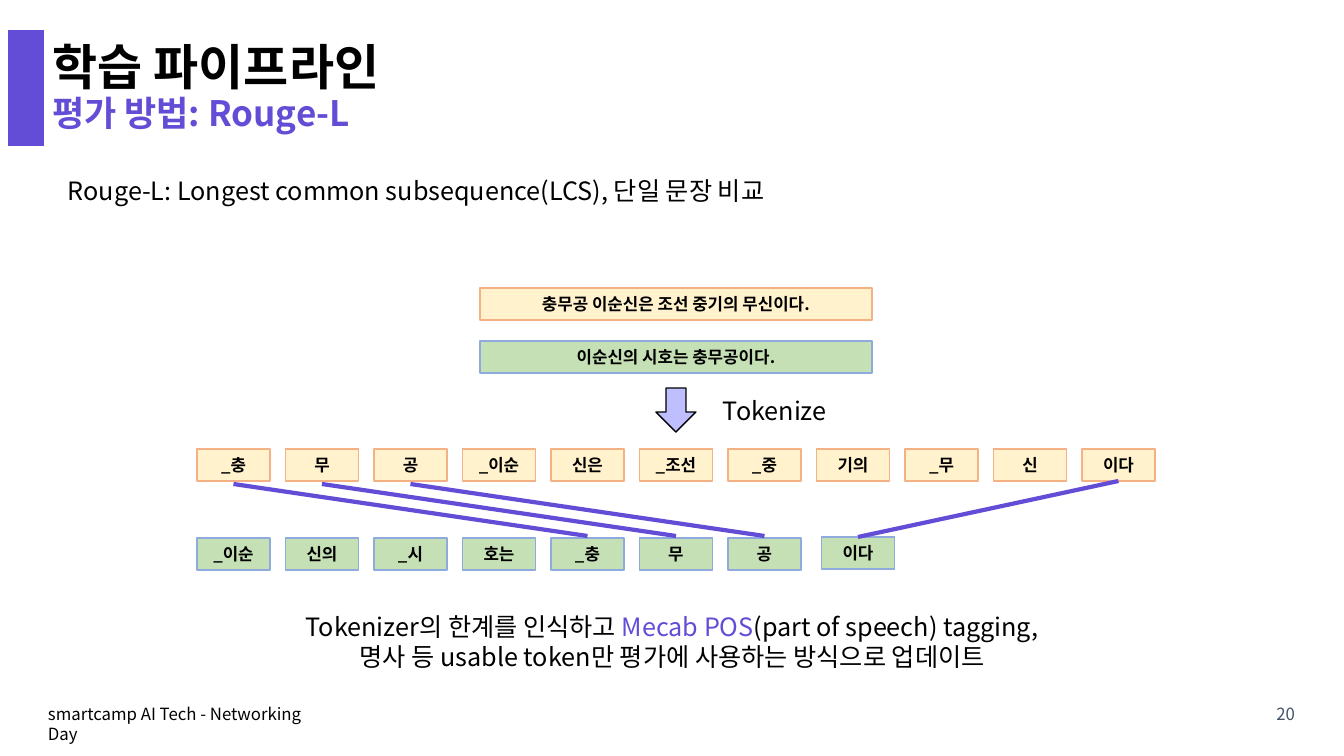
from pptx import Presentation
from pptx.dml.color import RGBColor
from pptx.enum.shapes import MSO_CONNECTOR, MSO_SHAPE
from pptx.enum.text import MSO_ANCHOR, PP_ALIGN
from pptx.oxml.ns import qn
from pptx.util import Emu, Pt
from lxml.etree import SubElement

SLIDE_W, SLIDE_H = 1344, 756
SCALE = 12192000 / SLIDE_W
FONT = "Noto Sans CJK KR"
COLORS = {
    "violet": "644DD6", "lilac": "BFBFFF", "black": "000000", "slate": "44546A",
    "cream": "FFF2CC", "orange": "F4B183", "green": "C5E0B4", "blue": "8FAADC",
}
REFERENCE = {"fill": "cream", "line": "orange"}
CANDIDATE = {"fill": "green", "line": "blue"}
REFERENCE_TOKENS = ["_충", "무", "공", "_이순", "신은", "_조선", "_중", "기의", "_무", "신", "이다"]
CANDIDATE_TOKENS = ["_이순", "신의", "_시", "호는", "_충", "무", "공", "이다"]
TOKEN_W, TOKEN_H = 73, 32
LAST_SHIFT = (5, -1)
MATCHES = [(0, 4, 3, 2), (1, 5, 3, 2), (2, 6, 3, 2), (10, 7, 0, 0)]


def px(value):
    return Emu(round(value * SCALE))


def rgb(name):
    return RGBColor.from_string(COLORS[name])


def write(holder, paragraphs, anchor=MSO_ANCHOR.TOP, **paragraph_format):
    frame = holder.text_frame
    frame.word_wrap = True
    frame.vertical_anchor = anchor
    for index, runs in enumerate(paragraphs):
        paragraph = frame.paragraphs[0] if index == 0 else frame.add_paragraph()
        for key, value in paragraph_format.items():
            setattr(paragraph, key, value)
        for words, size, color, bold in runs:
            run = paragraph.add_run()
            run.text = words
            for key, value in {"name": FONT, "size": Pt(size), "bold": bold}.items():
                setattr(run.font, key, value)
            run.font.color.rgb = rgb(color)
            SubElement(run.font._element, qn("a:ea")).set("typeface", FONT)


def add_text(slide, box, paragraphs, **text_format):
    holder = slide.shapes.add_textbox(*map(px, box))
    write(holder, paragraphs, **text_format)
    return holder


def add_block(slide, kind, box, fill=None, line=None):
    block = slide.shapes.add_shape(kind, *map(px, box))
    block.shadow.inherit = False
    if fill:
        block.fill.solid()
        block.fill.fore_color.rgb = rgb(fill)
    else:
        block.fill.background()
    if line:
        block.line.color.rgb = rgb(line)
        block.line.width = Pt(1)
    else:
        block.line.fill.background()
    return block


def add_label(slide, box, words, style):
    label = add_block(slide, MSO_SHAPE.RECTANGLE, box, **style)
    write(label, [[(words, 12, "black", True)]],
          anchor=MSO_ANCHOR.MIDDLE, alignment=PP_ALIGN.CENTER)


def add_heading(slide, left, top, width, height):
    add_block(slide, MSO_SHAPE.RECTANGLE, (left, top, 36, height), fill="violet")
    title = add_block(slide, MSO_SHAPE.ROUNDED_RECTANGLE,
                      (left + 29, top + 2, width - 29, height - 2))
    write(title, [[("학습 파이프라인", 35, "black", True)],
                  [("평가 방법: Rouge-L", 25, "violet", True)]],
          anchor=MSO_ANCHOR.MIDDLE, alignment=PP_ALIGN.LEFT, line_spacing=0.9)


def add_definition(slide, left, top, width, height):
    definition = add_text(slide, (left, top, width, height), [
        [("Rouge-L: Longest common subsequence(LCS), 단일 문장 비교", 18, "black", False)]])
    properties = definition.text_frame.paragraphs[0]._p.get_or_add_pPr()
    properties.set("marL", str(px(50)))
    properties.set("indent", "0")


def add_sentences(slide, left, top, width, height):
    sentences = [("충무공 이순신은 조선 중기의 무신이다.", REFERENCE),
                 ("이순신의 시호는 충무공이다.", CANDIDATE)]
    step = height - TOKEN_H
    for row, (sentence, style) in enumerate(sentences):
        add_label(slide, (left, top + row * step, width, TOKEN_H), sentence, style)


def add_tokenize_step(slide, left, top, width, height):
    add_block(slide, MSO_SHAPE.DOWN_ARROW, (left, top, 40, height),
              fill="lilac", line="black")
    add_text(slide, (left + 57, top + 2, width - 57, 40),
             [[("Tokenize", 18, "black", False)]])


def add_token_match(slide, left, top, width, height):
    step = (width - TOKEN_W) / (len(REFERENCE_TOKENS) - 1)
    lower = top + height - TOKEN_H
    upper_spots = [(left + i * step, top) for i in range(len(REFERENCE_TOKENS))]
    lower_spots = [(left + i * step, lower) for i in range(len(CANDIDATE_TOKENS))]
    x, y = lower_spots[-1]
    lower_spots[-1] = (x + LAST_SHIFT[0], y + LAST_SHIFT[1])
    for tokens, spots, style in [(REFERENCE_TOKENS, upper_spots, REFERENCE),
                                 (CANDIDATE_TOKENS, lower_spots, CANDIDATE)]:
        for token, spot in zip(tokens, spots):
            add_label(slide, (*spot, TOKEN_W, TOKEN_H), token, style)
    for source, target, source_gap, target_gap in MATCHES:
        x1, y1 = upper_spots[source]
        x2, y2 = lower_spots[target]
        ends = (x1 + TOKEN_W / 2, y1 + TOKEN_H + source_gap,
                x2 + TOKEN_W / 2, y2 - target_gap)
        match = slide.shapes.add_connector(MSO_CONNECTOR.STRAIGHT, *map(px, ends))
        match.line.color.rgb = rgb("violet")
        match.line.width = Pt(3)
        SubElement(match._element.spPr, qn("a:effectLst"))


def add_conclusion(slide, left, top, width, height):
    add_text(slide, (left, top, width, height), [
        [("Tokenizer의 한계를 인식하고 ", 18, "black", False),
         ("Mecab POS", 18, "violet", False),
         ("(part of speech) tagging,", 18, "black", False)],
        [("명사 등 usable token만 평가에 사용하는 방식으로 업데이트", 18, "black", False)],
    ], alignment=PP_ALIGN.CENTER)


def add_footer(slide, left, top, width, height):
    add_text(slide, (left, top + 10, 298, 30),
             [[("smartcamp AI Tech - Networking Day", 12, "black", False)]])
    add_text(slide, (left + width - 302, top, 302, height),
             [[("20", 12, "slate", False)]],
             anchor=MSO_ANCHOR.BOTTOM, alignment=PP_ALIGN.RIGHT)


def main():
    deck = Presentation()
    deck.slide_width, deck.slide_height = px(SLIDE_W), px(SLIDE_H)
    slide = deck.slides.add_slide(deck.slide_layouts[6])
    add_footer(slide, 38, 689, 1267, 40)
    add_heading(slide, 8, 30, 627, 116)
    add_definition(slide, 8, 170, 1176, 55)
    add_sentences(slide, 480, 288, 392, 85)
    add_token_match(slide, 197, 449, 958, 121)
    add_tokenize_step(slide, 656, 388, 187, 44)
    add_conclusion(slide, 0, 606, SLIDE_W, 72)
    deck.save("out.pptx")


if __name__ == "__main__":
    main()
